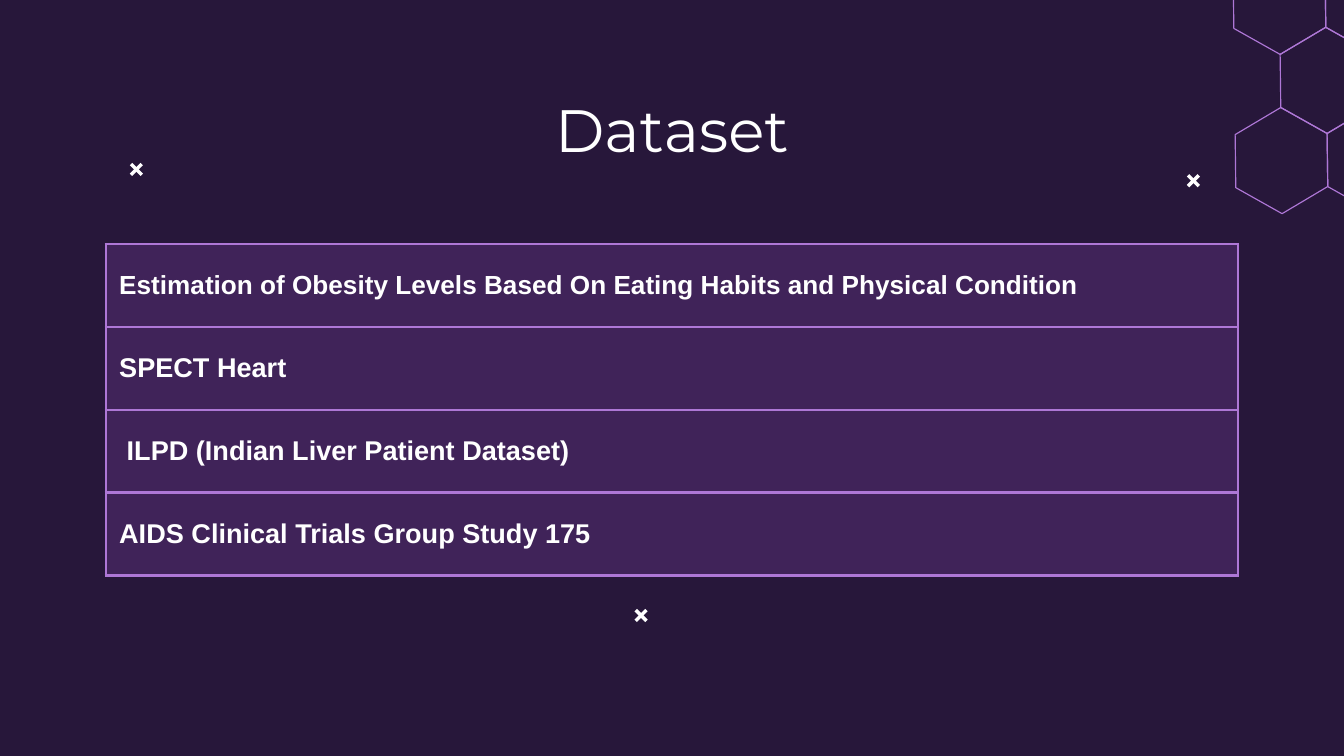
from dataclasses import dataclass
from math import cos, radians, sin, sqrt

from lxml.etree import SubElement
from pptx import Presentation
from pptx.dml.color import RGBColor as RGB
from pptx.enum.shapes import MSO_CONNECTOR as Connector
from pptx.enum.text import MSO_ANCHOR as Anchor, PP_ALIGN as Align
from pptx.oxml.ns import qn
from pptx.util import Inches, Pt

WIDTH = Inches(10)
HEIGHT = WIDTH * 9 // 16


@dataclass(frozen=True)
class Theme:
    background: RGB = RGB.from_string("27173A")
    accent: RGB = RGB.from_string("AE77D6")
    cell: RGB = RGB.from_string("733C9B")
    text: RGB = RGB.from_string("FFFFFF")
    cell_opacity: int = 33
    title_font: str = "Montserrat"
    body_font: str = "Arial"
    title_size: float = 32
    body_size: float = 14.5
    long_size: float = 14
    hexagon_line: float = 0.61
    border_line: float = 1.5
    cross_line: float = 1.84


class SlideBuilder:
    """Draws on one slide; positions are columns and rows of a 100 by 100 grid."""

    def __init__(self, prs, theme):
        self.theme = theme
        self.s = prs.slides.add_slide(prs.slide_layouts[6])
        fill = self.s.background.fill
        fill.solid()
        fill.fore_color.rgb = theme.background

    def x(self, columns):
        return round(WIDTH * columns / 100)

    def y(self, rows):
        return round(HEIGHT * rows / 100)

    def style(self, p, name, size, bold=False):
        p.font.name, p.font.size, p.font.bold = name, Pt(size), bold
        p.font.color.rgb = self.theme.text

    def title(self, text, left, top, width, height):
        box = self.s.shapes.add_textbox(
            self.x(left), self.y(top), self.x(width), self.y(height))
        tf = box.text_frame
        tf.word_wrap = True
        tf.vertical_anchor = Anchor.TOP
        tf.margin_left = tf.margin_right = tf.margin_top = tf.margin_bottom = Inches(0.1)
        p = tf.paragraphs[0]
        p.text, p.alignment = text, Align.CENTER
        self.style(p, self.theme.title_font, self.theme.title_size)

    def honeycomb(self, left, top, radius, tilt, places):
        """Hexagons at lattice places (i, j), counted from a centre at left, top."""
        pitch = sqrt(3) * radius

        def offset(length, degrees):
            angle = radians(degrees + tilt)
            return length * cos(angle), length * sin(angle)

        (ax, ay), (bx, by) = offset(pitch, 0), offset(pitch, -60)
        corners = [offset(radius, 60 * k - 30) for k in range(6)]
        for i, j in places:
            cx = self.x(left) + i * ax + j * bx
            cy = self.y(top) + i * ay + j * by
            points = [(round(cx + dx), round(cy + dy)) for dx, dy in corners]
            builder = self.s.shapes.build_freeform(*points[0])
            builder.add_line_segments(points[1:], close=True)
            sp = builder.convert_to_shape()
            sp.shadow.inherit = False
            sp.fill.background()
            sp.line.color.rgb = self.theme.accent
            sp.line.width = Pt(self.theme.hexagon_line)

    def cross(self, left, top, size):
        x, y = self.x(left), self.y(top)
        for start, end in ((y + size, y), (y, y + size)):
            line = self.s.shapes.add_connector(
                Connector.STRAIGHT, x, start, x + size, end)
            line.line.color.rgb = self.theme.text
            line.line.width = Pt(self.theme.cross_line)
            SubElement(line._element.spPr, qn("a:effectLst"))

    def table(self, entries, left, top, width, row_height):
        """One-column table from (text, size) entries."""
        frame = self.s.shapes.add_table(
            len(entries), 1, self.x(left), self.y(top),
            self.x(width), self.y(row_height * len(entries)))
        table = frame.table
        table.first_row = table.horz_banding = False
        for row, (text, size) in zip(table.rows, entries):
            row.height = self.y(row_height)
            cell = row.cells[0]
            cell.vertical_anchor = Anchor.MIDDLE
            cell.margin_left = cell.margin_right = Inches(0.1)
            cell.margin_top = cell.margin_bottom = Inches(0.1)
            p = cell.text_frame.paragraphs[0]
            p.text = text
            self.style(p, self.theme.body_font, size, bold=True)
            self.borders(cell)
            self.cell_fill(cell)

    def borders(self, cell):
        properties = cell._tc.get_or_add_tcPr()
        for side in ("lnL", "lnR", "lnT", "lnB"):
            line = SubElement(properties, qn(f"a:{side}"),
                              w=str(Pt(self.theme.border_line)))
            fill = SubElement(line, qn("a:solidFill"))
            SubElement(fill, qn("a:srgbClr"), val=str(self.theme.accent))

    def cell_fill(self, cell):
        cell.fill.solid()
        cell.fill.fore_color.rgb = self.theme.cell
        color = cell._tc.tcPr.find(qn("a:solidFill")).find(qn("a:srgbClr"))
        SubElement(color, qn("a:alpha"), val=str(self.theme.cell_opacity * 1000))


def main():
    prs = Presentation()
    prs.slide_width, prs.slide_height = WIDTH, HEIGHT
    theme = Theme()
    slide = SlideBuilder(prs, theme)
    slide.honeycomb(95.35, 21.25, Inches(0.395), -0.7,
                    [(0, 0), (1, 0), (0, 1), (-1, 2), (0, 2)])
    slide.title("Dataset", 7.87, 10.5, 84.26, 11.2)
    slide.table([
        ("Estimation of Obesity Levels Based On Eating Habits and Physical Condition",
         theme.long_size),
        ("SPECT Heart", theme.body_size),
        (" ILPD (Indian Liver Patient Dataset)", theme.body_size),
        ("AIDS Clinical Trials Group Study 175", theme.body_size),
    ], 7.87, 32.3, 84.26, 10.96)
    for left, top in ((88.4, 23.2), (47.3, 80.7), (9.75, 21.7)):
        slide.cross(left, top, Inches(0.08))
    prs.save("out.pptx")


if __name__ == "__main__":
    main()
